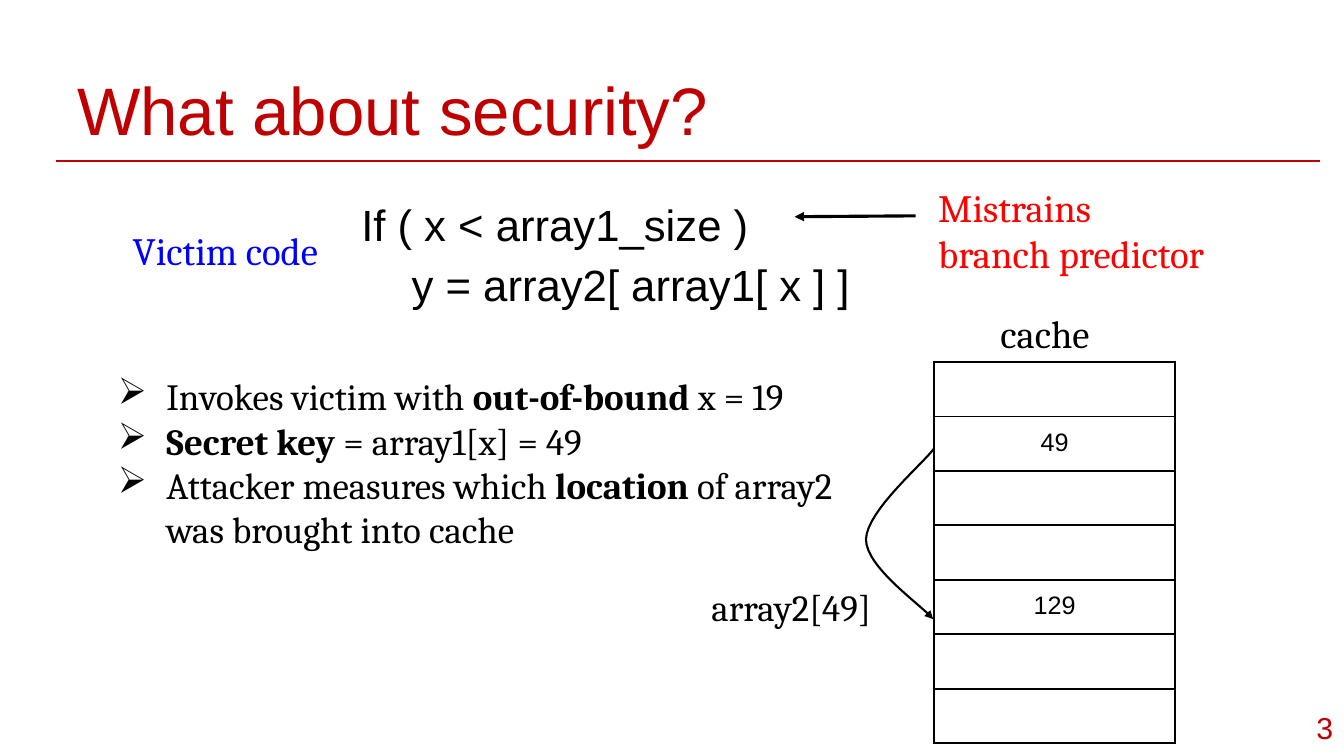
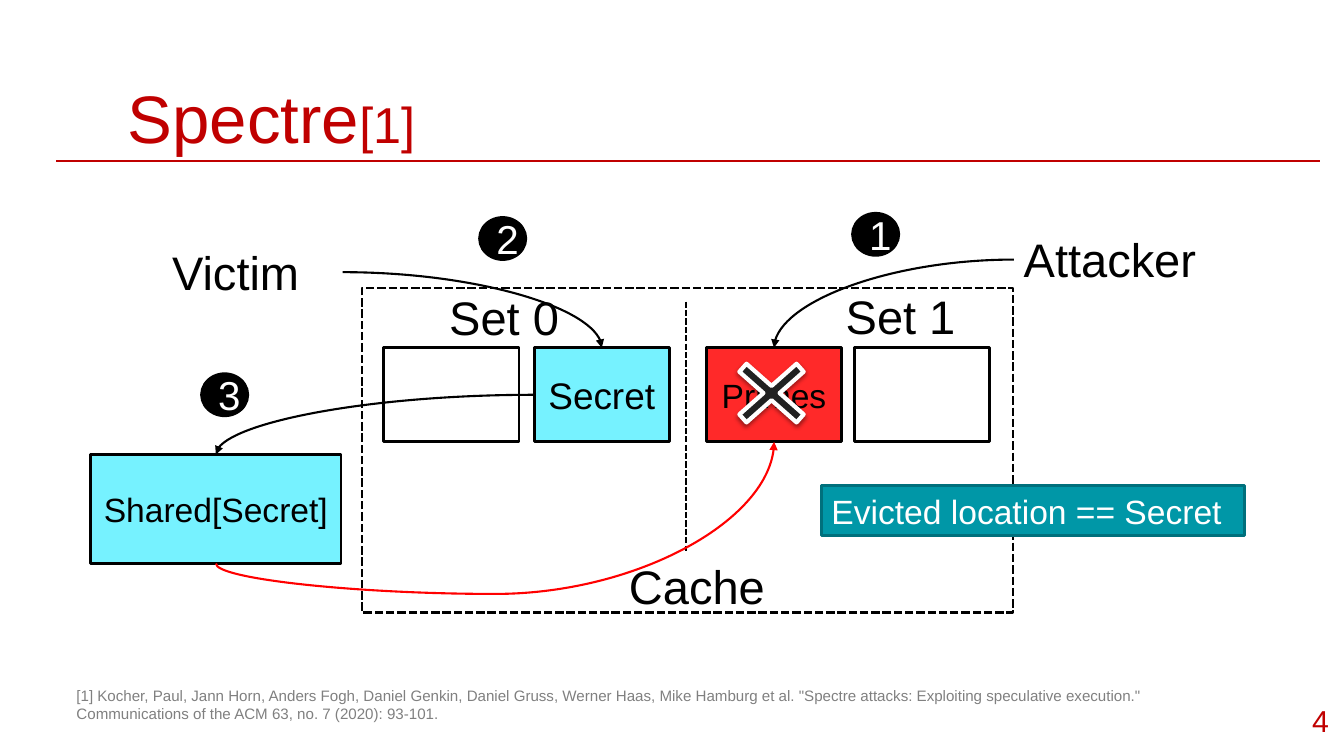
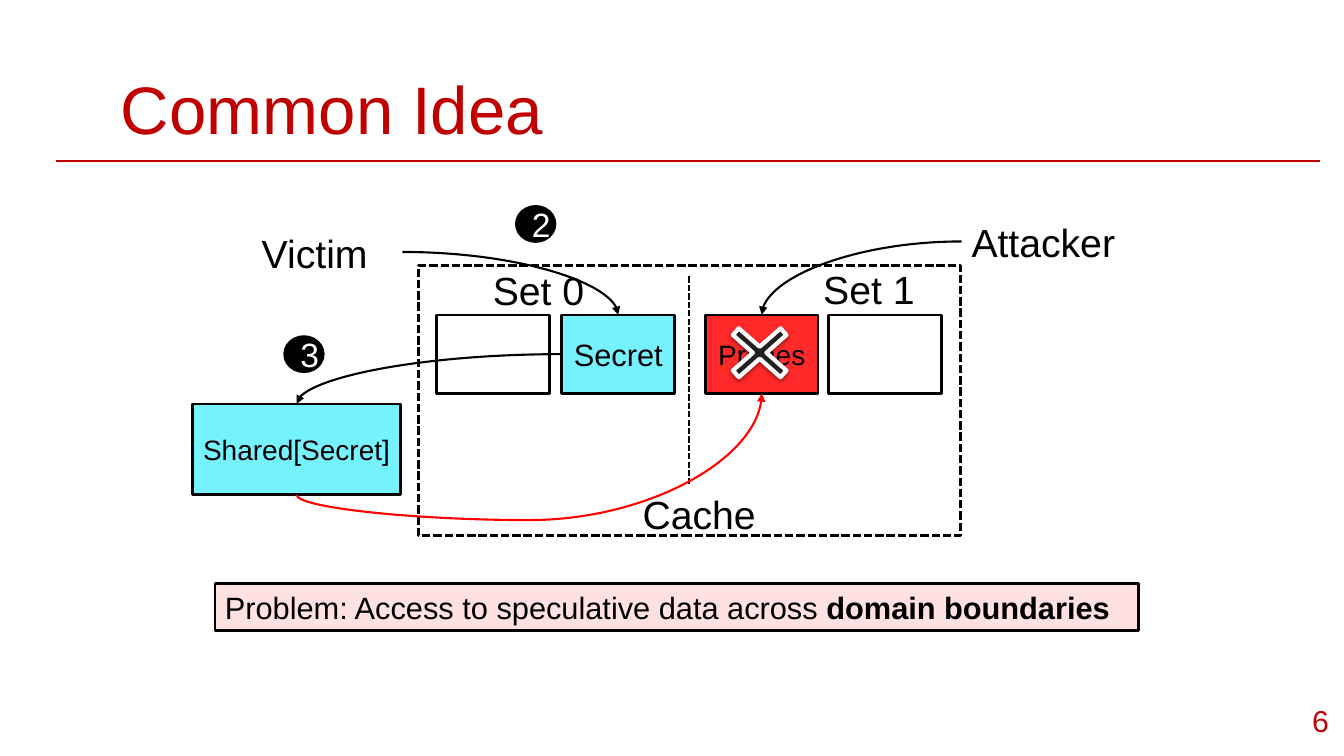
from dataclasses import dataclass
from typing import NamedTuple, Optional

from lxml import etree
from pptx import Presentation
from pptx import util as u
from pptx.dml import color as dml
from pptx.enum import dml as line_styles
from pptx.enum import shapes, text
from pptx.oxml import ns

COLUMNS, ROWS = 160, 90
SLIDE_WIDTH, SLIDE_HEIGHT = u.Inches(13.3333), u.Inches(7.5)
COLORS = {
    "crimson": "C00000",
    "black": "000000",
    "white": "FFFFFF",
    "blue": "0000FF",
    "red": "FF0000",
    "cyan": "76F2FF",
    "primed": "FF2929",
    "teal": "0097A7",
    "dark_teal": "00707C",
    "pink": "FFE1E1",
    "charcoal": "212121",
    "gray": "808080",
}
SANS, SERIF = "Arial", "Cambria"
ROOMY, SNUG = (1.4, 1.4), (1.2, 0.6)
LEFT, CENTER, RIGHT = text.PP_ALIGN.LEFT, text.PP_ALIGN.CENTER, text.PP_ALIGN.RIGHT
TOP, MIDDLE = text.MSO_ANCHOR.TOP, text.MSO_ANCHOR.MIDDLE
SHAPE, CONNECTOR = shapes.MSO_SHAPE, shapes.MSO_CONNECTOR
SIDE_TOP, SIDE_LEFT, SIDE_BOTTOM, SIDE_RIGHT = range(4)


class Run(NamedTuple):
    text: str
    bold: bool = False
    size: Optional[float] = None


class Box(NamedTuple):
    left: float
    top: float
    width: float
    height: float


class Block(NamedTuple):
    name: str
    kind: int
    box: Box
    fill: Optional[str]
    text: str = ""
    size: float = 24
    color: str = "black"


class Label(NamedTuple):
    text: str
    box: Box


class Curve(NamedTuple):
    start: str
    start_side: int
    end: str
    end_side: int


@dataclass
class Scale:
    factor: float = 1
    right: float = 0
    down: float = 0

    def box(self, box: Box) -> Box:
        return Box(self.right + box.left * self.factor, self.down + box.top * self.factor,
                   box.width * self.factor, box.height * self.factor)


BLOCK_WIDTH, BLOCK_HEIGHT, BLOCK_TOP = 16.1, 11.2, 41.4


def cache_way(left: float) -> Box:
    return Box(left, BLOCK_TOP, BLOCK_WIDTH, BLOCK_HEIGHT)


CACHE_BLOCKS = [
    Block("way 0", SHAPE.RECTANGLE, cache_way(45.7), "white"),
    Block("secret", SHAPE.RECTANGLE, cache_way(63.6), "cyan", "Secret", 26.4),
    Block("primes", SHAPE.RECTANGLE, cache_way(84.1), "primed", "Primes"),
    Block("way 3", SHAPE.RECTANGLE, cache_way(101.7), "white"),
    Block("shared", SHAPE.RECTANGLE, Box(10.8, 54.1, 29.8, 13), "cyan", "Shared[Secret]"),
]
CACHE_LABELS = [
    Label("Set 1", Box(99.5, 33.6, 17.9, 8)),
    Label("Set 0", Box(52.3, 33.8, 17.9, 8)),
    Label("Attacker", Box(120.7, 26.9, 29.8, 8)),
    Label("Victim", Box(19.3, 28.4, 21.5, 8)),
    Label("Cache", Box(73.7, 65.8, 24.2, 8)),
]
CACHE_CURVES = [
    Curve("Attacker", SIDE_LEFT, "primes", SIDE_TOP),
    Curve("Victim", SIDE_RIGHT, "secret", SIDE_TOP),
    Curve("secret", SIDE_LEFT, "shared", SIDE_TOP),
]
BADGES = {"1": (101.5, 25.4), "2": (57.1, 25.9), "3": (24, 44.5)}


def across(columns: float) -> int:
    return round(columns * SLIDE_WIDTH / COLUMNS)


def down(rows: float) -> int:
    return round(rows * SLIDE_HEIGHT / ROWS)


def place(box: Box) -> tuple:
    return across(box.left), down(box.top), across(box.width), down(box.height)


def rgb(name: str) -> dml.RGBColor:
    return dml.RGBColor.from_string(COLORS[name])


def add_element(parent, tag: str, **attributes):
    element = etree.SubElement(parent, ns.qn(tag))
    for key, value in attributes.items():
        element.set(key, str(value))
    return element


def write(frame, paragraphs: list, *, size: float, color: str = "black", font: str = SANS,
          align=LEFT, spacing: Optional[float] = None, bullet: str = "") -> None:
    for index, runs in enumerate(paragraphs):
        paragraph = frame.paragraphs[0] if index == 0 else frame.add_paragraph()
        paragraph.alignment = align
        if spacing:
            paragraph.line_spacing = spacing
        if bullet:
            properties = paragraph._p.get_or_add_pPr()
            properties.set("marL", str(u.Inches(0.6)))
            properties.set("indent", str(u.Inches(-0.48)))
            bullet_color = add_element(properties, "a:buClr")
            add_element(bullet_color, "a:srgbClr", val=COLORS[color])
            add_element(properties, "a:buChar", char=bullet)
        for part in [Run(runs)] if isinstance(runs, str) else runs:
            run = paragraph.add_run()
            run.text = part.text
            run.font.name = font
            run.font.size = u.Pt(part.size or size)
            run.font.bold = part.bold
            run.font.color.rgb = rgb(color)


def set_frame(shape, anchor, inset: tuple) -> None:
    frame = shape.text_frame
    frame.word_wrap = True
    frame.vertical_anchor = anchor
    frame.margin_left = frame.margin_right = across(inset[0])
    frame.margin_top = frame.margin_bottom = down(inset[1])


def add_text(slide, box: Box, paragraphs: list, *, anchor=TOP, inset: tuple = ROOMY, **style):
    shape = slide.shapes.add_textbox(*place(box))
    set_frame(shape, anchor, inset)
    write(shape.text_frame, paragraphs, **style)
    return shape


def add_block(slide, kind, box: Box, fill: Optional[str], line: str = "black",
              line_width: float = 2, anchor=MIDDLE, inset: tuple = SNUG):
    shape = slide.shapes.add_shape(kind, *place(box))
    shape.shadow.inherit = False
    if fill:
        shape.fill.solid()
        shape.fill.fore_color.rgb = rgb(fill)
    else:
        shape.fill.background()
    shape.line.color.rgb = rgb(line)
    shape.line.width = u.Pt(line_width)
    set_frame(shape, anchor, inset)
    return shape


def add_arrowhead(shape) -> None:
    add_element(shape.line._get_or_add_ln(), "a:tailEnd", type="triangle")


def add_line(slide, start: tuple = (0, 0), end: tuple = (0, 0), *, kind=CONNECTOR.STRAIGHT,
             color: str = "black", width: float = 1.5, arrow: bool = False):
    line = slide.shapes.add_connector(kind, across(start[0]), down(start[1]),
                                      across(end[0]), down(end[1]))
    line.line.color.rgb = rgb(color)
    line.line.width = u.Pt(width)
    if arrow:
        add_arrowhead(line)
    add_element(line._element.spPr, "a:effectLst")
    return line


def add_curve(slide, curve: Curve, anchors: dict, color: str = "black"):
    line = add_line(slide, kind=CONNECTOR.CURVE, color=color, arrow=True)
    line.begin_connect(anchors[curve.start], curve.start_side)
    line.end_connect(anchors[curve.end], curve.end_side)
    return line


def add_quarter_curve(slide, curve: Curve, anchors: dict) -> None:
    line = add_curve(slide, curve, anchors)
    line._element.spPr.find(ns.qn("a:prstGeom")).set("prst", "curvedConnector2")


def add_swing_curve(slide, curve: Curve, anchors: dict) -> None:
    line = add_curve(slide, curve, anchors, "red")
    run, rise = line.end_x - line.begin_x, line.begin_y - line.end_y
    middle_x, middle_y = (line.begin_x + line.end_x) // 2, (line.begin_y + line.end_y) // 2
    line.left, line.top = middle_x - rise // 2, middle_y - run // 2
    line.width, line.height = rise, run
    properties = line._element.spPr
    transform = properties.find(ns.qn("a:xfrm"))
    for key, value in {"rot": "5400000", "flipH": "1", "flipV": "1"}.items():
        transform.set(key, value)
    geometry = properties.find(ns.qn("a:prstGeom"))
    for guides in geometry.findall(ns.qn("a:avLst")):
        geometry.remove(guides)
    add_element(add_element(geometry, "a:avLst"), "a:gd", name="adj1", fmla="val -24900")


def bezier(points: list, steps: int = 16) -> list:
    weights = (1, 3, 3, 1)
    return [tuple(sum(weight * (1 - t) ** (3 - i) * t ** i * point[axis]
                      for i, (weight, point) in enumerate(zip(weights, points)))
                  for axis in (0, 1))
            for t in (step / steps for step in range(steps + 1))]


def add_cross(slide, box: Box) -> None:
    cross = add_block(slide, SHAPE.MATH_MULTIPLY, box, "charcoal", "white", 3)
    cross.adjustments[0] = 0.11
    effects = cross._element.spPr.find(ns.qn("a:effectLst"))
    shadow = add_element(effects, "a:outerShdw", blurRad=u.Pt(3.1), dist=u.Pt(1.6),
                         dir=5400000, rotWithShape=0)
    shade = add_element(shadow, "a:srgbClr", val=COLORS["black"])
    add_element(shade, "a:alpha", val=38000)


def add_cache_diagram(slide, scale: Scale, badges: str) -> None:
    frame = add_block(slide, SHAPE.RECTANGLE, scale.box(Box(43.1, 34.3, 77.5, 38.6)), None)
    frame.line.dash_style = line_styles.MSO_LINE.SQUARE_DOT
    anchors = {}
    for block in CACHE_BLOCKS:
        shape = add_block(slide, block.kind, scale.box(block.box), block.fill)
        if block.text:
            write(shape.text_frame, [block.text], size=block.size * scale.factor, align=CENTER)
        anchors[block.name] = shape
    divider = scale.box(Box(81.7, 35.9, 0, 29.7))
    split = add_line(slide, divider[:2], (divider.left, divider.top + divider.height))
    split.line.dash_style = line_styles.MSO_LINE.SQUARE_DOT
    for label in CACHE_LABELS:
        anchors[label.text] = add_text(slide, scale.box(label.box), [label.text], inset=SNUG,
                                       size=33.6 * scale.factor)
    for curve in CACHE_CURVES:
        add_quarter_curve(slide, curve, anchors)
    add_swing_curve(slide, Curve("shared", SIDE_BOTTOM, "primes", SIDE_BOTTOM), anchors)
    add_cross(slide, scale.box(Box(85.3, 41, 13.1, 11.6)))
    for number in badges:
        badge = add_block(slide, SHAPE.OVAL, scale.box(Box(*BADGES[number], 5.5, 5)), "black")
        write(badge.text_frame, [number], size=28.8 * scale.factor, color="white", align=CENTER)


def add_banner(slide, box: Box, runs: list, *, fill: str, line: str, size: float,
               color: str) -> None:
    banner = add_block(slide, SHAPE.RECTANGLE, box, fill, line, anchor=TOP)
    write(banner.text_frame, [runs], size=size, color=color)


def add_cache_table(slide, box: Box, values: list) -> None:
    table = slide.shapes.add_table(len(values), 1, *place(box)).table
    table.first_row = table.horz_banding = False
    for row, value in enumerate(values):
        table.rows[row].height = down(box.height / len(values))
        cell = table.cell(row, 0)
        cell.margin_left = cell.margin_right = across(ROOMY[0])
        cell.margin_top = cell.margin_bottom = down(ROOMY[1])
        properties = cell._tc.get_or_add_tcPr()
        for edge in ("a:lnL", "a:lnR", "a:lnT", "a:lnB"):
            border = add_element(properties, edge, w=u.Pt(1.5))
            add_element(add_element(border, "a:solidFill"), "a:srgbClr", val=COLORS["black"])
        cell.fill.background()
        if value:
            write(cell.text_frame, [value], size=18, align=CENTER)


def start_slide(presentation, title: list, title_at: tuple, number: str, number_at: tuple):
    slide = presentation.slides.add_slide(presentation.slide_layouts[6])
    add_line(slide, (6.7, 19.2), (157.1, 19.2), color="crimson")
    add_text(slide, Box(*title_at, 134, 10.1), [title], size=48, color="crimson")
    add_text(slide, Box(*number_at, 10.2, 6.8), [number], anchor=MIDDLE, size=21.6,
             color="crimson", align=RIGHT)
    return slide


def build_security(presentation) -> None:
    slide = start_slide(presentation, "What about security?", (7.8, 6.7), "3", (149.9, 83.2))
    code = add_block(slide, SHAPE.ROUNDED_RECTANGLE, Box(40.9, 21.1, 70.7, 17.4), "white",
                     "white", 0.75, inset=ROOMY)
    code.adjustments[0] = 0.14
    write(code.text_frame, ["If ( x < array1_size )", "\ty = array2[ array1[ x ] ]"],
          size=31.2, spacing=1.15)
    add_text(slide, Box(14.4, 25.6, 32.9, 8.5), ["Victim code"], size=27.6, color="blue",
             font=SERIF)
    add_text(slide, Box(110.3, 20.5, 41, 14), ["Mistrains", "branch predictor"], size=27.6,
             color="red", font=SERIF)
    add_line(slide, (109, 25.7), (94.6, 25.8), width=2.25, arrow=True)
    add_text(slide, Box(11.2, 43.1, 90.8, 24.2), [
        [Run("Invokes victim with "), Run("out-of-bound", True), Run(" x = 19")],
        [Run("Secret key", True), Run(" = array1[x] = 49")],
        [Run("Attacker measures which "), Run("location", True),
         Run(" of array2 was brought into cache")],
    ], size=26.4, font=SERIF, bullet="➢")
    add_cache_table(slide, Box(111.2, 43.1, 28.7, 45.4), ["", "49", "", "", "129", "", ""])
    add_text(slide, Box(117.7, 35.5, 15.8, 8.5), ["cache"], size=27.6, font=SERIF)
    outward = bezier([(111.2, 53.4), (109.9, 55.2), (103.2, 60.8), (103.1, 64.2)])
    inward = bezier([(103.1, 64.2), (103.1, 67.6), (109.8, 72.1), (111.1, 73.7)])
    points = [(across(x), down(y)) for x, y in outward + inward[1:]]
    builder = slide.shapes.build_freeform(*points[0])
    builder.add_line_segments(points[1:], close=False)
    lookup = builder.convert_to_shape()
    lookup.shadow.inherit = False
    lookup.fill.background()
    lookup.line.color.rgb = rgb("black")
    lookup.line.width = u.Pt(1.5)
    add_arrowhead(lookup)
    add_text(slide, Box(83.3, 68.2, 24.7, 8.3), ["array2[49]"], size=26.4, font=SERIF)


def build_spectre(presentation) -> None:
    slide = start_slide(presentation, [Run("Spectre"), Run("[1]", size=36)], (13.8, 7.7), "4",
                        (149.4, 82.4))
    add_cache_diagram(slide, Scale(), "123")
    add_banner(slide, Box(97.8, 57.8, 50.4, 6), "Evicted location == Secret", fill="teal",
               line="dark_teal", size=24, color="white")
    add_text(slide, Box(7.7, 80.3, 139.1, 7.3), [
        '[1] Kocher, Paul, Jann Horn, Anders Fogh, Daniel Genkin, Daniel Gruss, Werner Haas, '
        'Mike Hamburg et al. "Spectre attacks: Exploiting speculative execution." '
        'Communications of the ACM 63, no. 7 (2020): 93-101.',
    ], size=10.8, color="gray")


def build_common_idea(presentation) -> None:
    slide = start_slide(presentation, "Common Idea", (13, 6.6), "6", (149.4, 82.4))
    add_cache_diagram(slide, Scale(5 / 6, 13.9, 3), "23")
    add_banner(slide, Box(25.6, 69.5, 109.9, 5.6), [
        Run("Problem: Access to speculative data across "), Run("domain boundaries", True),
    ], fill="pink", line="black", size=22, color="black")


def main() -> None:
    presentation = Presentation()
    presentation.slide_width, presentation.slide_height = SLIDE_WIDTH, SLIDE_HEIGHT
    for build in (build_security, build_spectre, build_common_idea):
        build(presentation)
    presentation.save("out.pptx")


if __name__ == "__main__":
    main()
